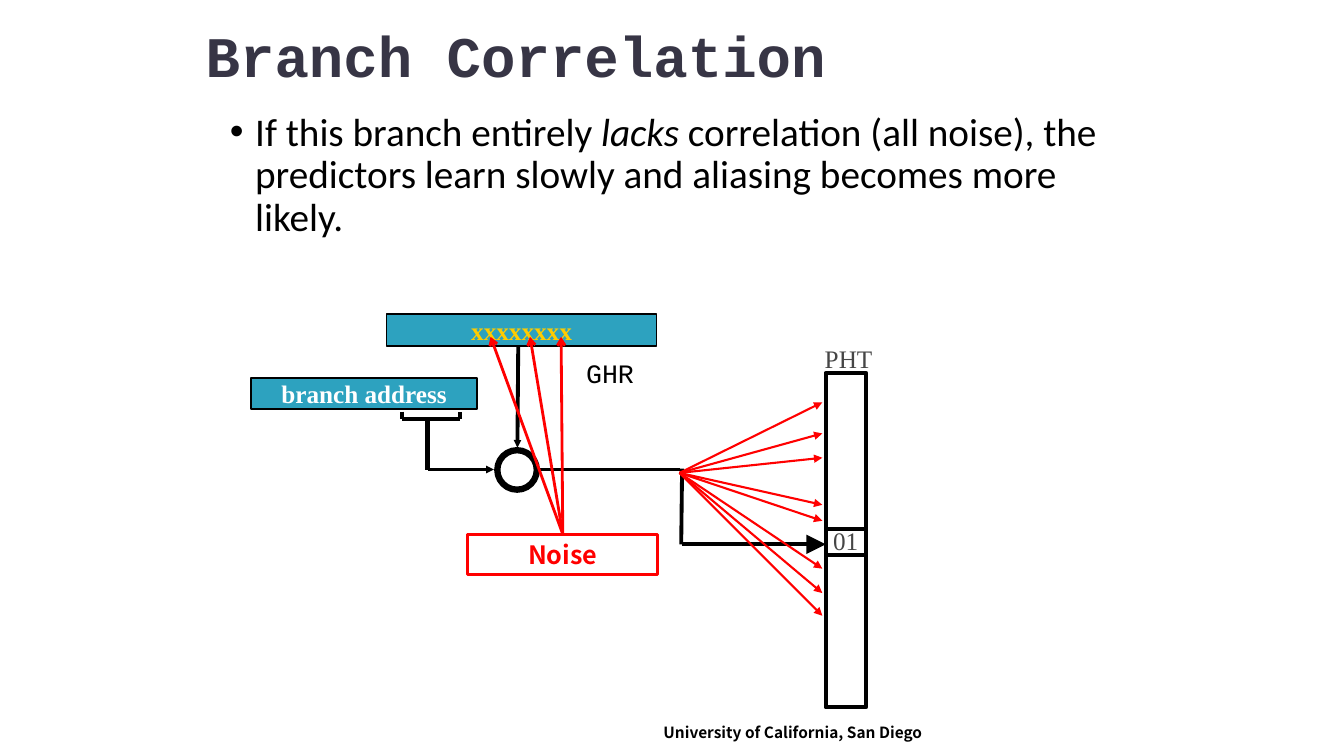
from lxml import etree
from pptx import Presentation
from pptx import util as u
from pptx.dml.color import RGBColor
from pptx.enum import shapes, text
from pptx.oxml.ns import qn

COLUMNS, ROWS = 160, 90
WIDTH, HEIGHT = u.Inches(13.33), u.Inches(7.5)
COLORS = {
    "ink": "000000", "title": "373545", "label": "464646", "teal": "2DA2BF",
    "white": "FFFFFF", "history": "FFCC00", "noise": "FF0000",
}
SERIF, MONO, SANS, BODY = "Times New Roman", "Courier New", "Noto Sans CJK KR", "Calibri"
LEFT, CENTER, RIGHT = text.PP_ALIGN.LEFT, text.PP_ALIGN.CENTER, text.PP_ALIGN.RIGHT
TOP, MIDDLE, BOTTOM = text.MSO_ANCHOR.TOP, text.MSO_ANCHOR.MIDDLE, text.MSO_ANCHOR.BOTTOM


def col(count):
    return round(WIDTH * count / COLUMNS)


def row(count):
    return round(HEIGHT * count / ROWS)


def area(left, top, width, height):
    return col(left), row(top), col(width), row(height)


def color(name):
    return RGBColor.from_string(COLORS[name])


def write(shape, runs, font, size, ink, bold=False, align=LEFT, anchor=TOP, wrap=True):
    frame = shape.text_frame
    frame.word_wrap = wrap
    frame.vertical_anchor = anchor
    paragraph = frame.paragraphs[0]
    paragraph.alignment = align
    for wording, italic in runs:
        run = paragraph.add_run()
        run.text = wording
        run.font.name = font
        run.font.size = u.Pt(size)
        run.font.bold = bold
        run.font.italic = italic
        run.font.color.rgb = color(ink)
    return paragraph


def add_label(slide, place, wording, *style, **layout):
    label = slide.shapes.add_textbox(*area(*place))
    write(label, [(wording, False)], *style, **layout)


def add_bullet(slide, place, runs):
    statement = slide.shapes.add_textbox(*area(*place))
    paragraph = write(statement, runs, BODY, 28, "ink")
    paragraph.line_spacing = 0.9
    paragraph.space_before = u.Pt(10)
    properties = paragraph._p.get_or_add_pPr()
    properties.set("marL", str(col(3)))
    properties.set("indent", str(-col(3)))
    etree.SubElement(properties, qn("a:buFont"), typeface="Arial")
    etree.SubElement(properties, qn("a:buChar"), char="•")


def add_block(slide, place, outline, weight, fill=None, kind="RECTANGLE"):
    block = slide.shapes.add_shape(shapes.MSO_SHAPE[kind], *area(*place))
    block.shadow.inherit = False
    block.line.color.rgb = color(outline)
    block.line.width = u.Pt(weight)
    if fill:
        block.fill.solid()
        block.fill.fore_color.rgb = color(fill)
    else:
        block.fill.background()
    return block


def add_register(slide, place, wording, ink):
    register = add_block(slide, place, "ink", 1, "teal")
    write(register, [(wording, False)], SERIF, 18, ink, bold=True,
          align=CENTER, anchor=MIDDLE, wrap=False)


def add_wire(slide, start, end, ink="ink", weight=2.75, head=None, head_size="med"):
    wire = slide.shapes.add_connector(
        shapes.MSO_CONNECTOR.STRAIGHT,
        col(start[0]), row(start[1]), col(end[0]), row(end[1]))
    wire.line.color.rgb = color(ink)
    wire.line.width = u.Pt(weight)
    if head:
        etree.SubElement(wire.line._get_or_add_ln(), qn("a:tailEnd"),
                         type=head, w=head_size, len=head_size)
    etree.SubElement(wire._element.spPr, qn("a:effectLst"))
    return wire


def add_path(slide, points, weight):
    for start, end in zip(points, points[1:]):
        add_wire(slide, start, end, weight=weight)


def add_index_logic(slide):
    add_block(slide, (59.2, 53.6, 4.7, 4.7), "ink", 4.5, kind="OVAL")
    add_wire(slide, (61.7, 40.9), (61.6, 53.3), head="triangle", head_size="sm")
    add_wire(slide, (63.8, 55.9), (80.9, 55.9))
    add_wire(slide, (50.9, 55.9), (58.8, 55.9), head="triangle", head_size="sm")
    add_register(slide, (29.9, 45, 26.9, 3.7), "branch address", "white")
    add_path(slide, [(47.9, 49), (47.9, 49.9), (54.8, 49.9), (54.8, 49)], 3)
    add_path(slide, [(50.9, 49.9), (50.9, 55.9)], 3)
    add_register(slide, (46, 37.4, 32.2, 3.8), "xxxxxxxx", "history")
    add_label(slide, (68.6, 41.9, 9.5, 5), "GHR", MONO, 19, "ink")


def add_pattern_table(slide):
    add_block(slide, (98.3, 44.4, 4.8, 39.8), "ink", 3)
    for edge in (63, 66.1):
        add_wire(slide, (98.2, edge), (103.2, edge), weight=3)
    add_label(slide, (98, 62, 5.4, 4.8), "01", SERIF, 18, "label", wrap=False)
    add_label(slide, (97, 40.3, 8.2, 4.8), "PHT", SERIF, 18, "label", wrap=False)


def add_noise(slide):
    noise = add_block(slide, (55.7, 63.6, 22.6, 4.8), "noise", 2)
    write(noise, [("Noise", False)], SANS, 18, "noise", bold=True,
          align=CENTER, anchor=MIDDLE)
    for history_bit in (58.4, 63.1, 66.8):
        ray = add_wire(slide, (67, 63.6), (history_bit, 40.1), "noise", 2, "arrow")
        ray.begin_connect(noise, 0)


def add_lookups(slide):
    add_wire(slide, (81.2, 55.8), (81.1, 64.8))
    add_wire(slide, (81.2, 64.8), (98.3, 64.8), head="triangle", head_size="lg")
    for entry in (47.9, 51.6, 54.5, 60.1, 62, 67.7, 70.6, 73.3):
        add_wire(slide, (80.9, 56.3), (97.9, entry), "noise", 1.5, "triangle")


def main():
    deck = Presentation()
    deck.slide_width, deck.slide_height = WIDTH, HEIGHT
    slide = deck.slides.add_slide(deck.slide_layouts[6])
    add_bullet(slide, (26.2, 12.8, 107.8, 22.7), [
        ("If this branch entirely ", False),
        ("lacks", True),
        (" correlation (all noise), the predictors learn slowly "
         "and aliasing becomes more likely.", False),
    ])
    add_label(slide, (77.5, 84.1, 33.5, 4.8), "University of California, San Diego",
              SANS, 11, "ink", bold=True, align=RIGHT, anchor=BOTTOM)
    add_label(slide, (23.3, 1, 113.4, 11), "Branch Correlation",
              MONO, 41, "title", bold=True, anchor=MIDDLE)
    add_index_logic(slide)
    add_pattern_table(slide)
    add_noise(slide)
    add_lookups(slide)
    deck.save("out.pptx")


if __name__ == "__main__":
    main()
